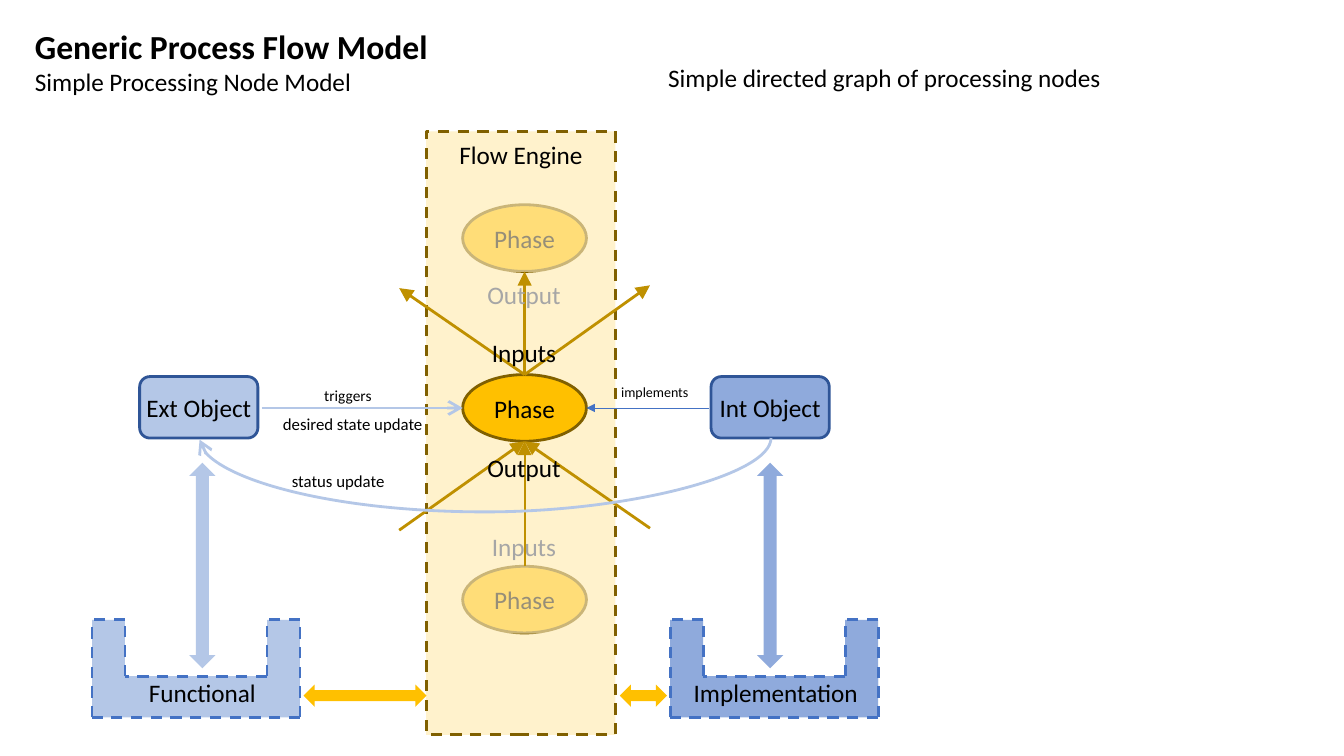
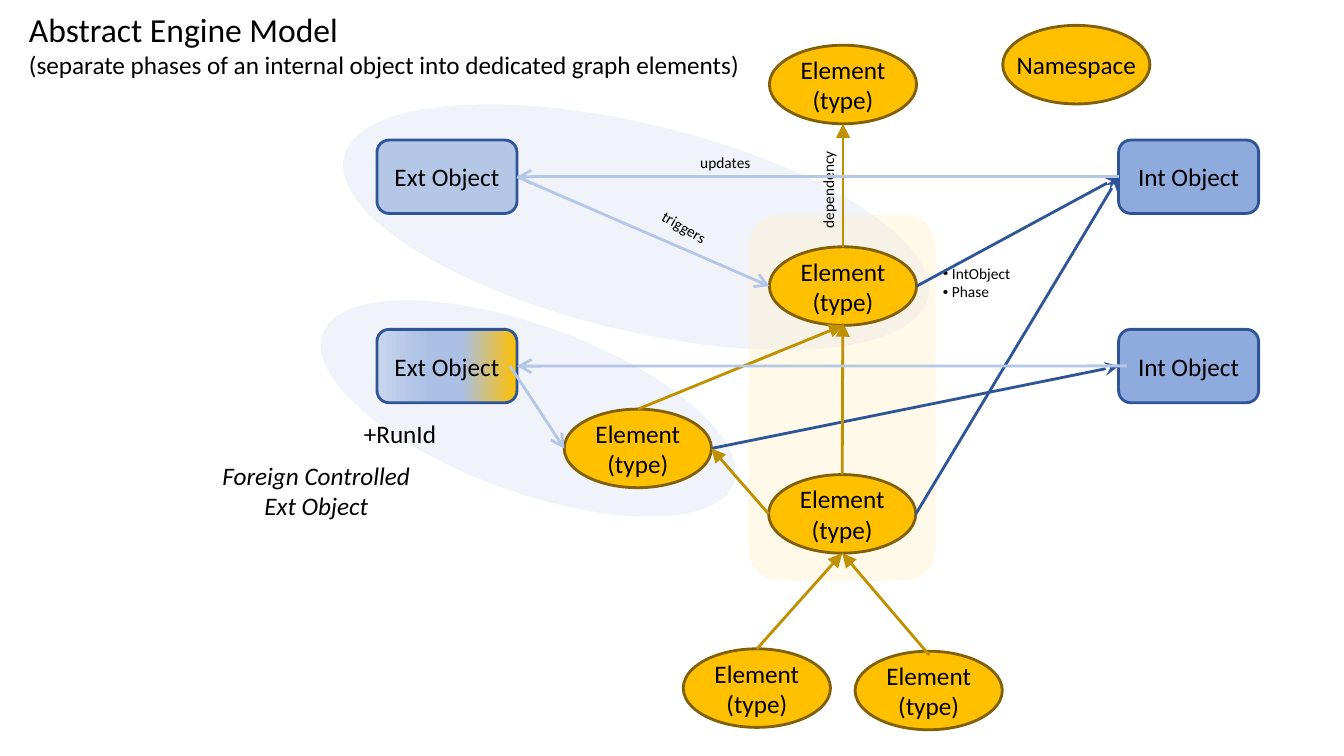
"""Build two slides that show a process flow model and its abstract engine."""
from dataclasses import dataclass
from functools import partial
from typing import Union

from lxml.etree import SubElement
from pptx import Presentation
from pptx.dml.color import RGBColor
from pptx.enum.dml import MSO_LINE
from pptx.enum.shapes import MSO_CONNECTOR, MSO_SHAPE
from pptx.enum.text import MSO_ANCHOR, PP_ALIGN
from pptx.oxml.ns import qn
from pptx.slide import Slide
from pptx.util import Cm, Pt

FONT = "Calibri"
HUES = {
    "black": "000000", "grey": "A6A6A6", "cream": "FFF2CC", "gold": "FFC000",
    "bronze": "BF9000", "brown": "806000", "pale": "DAE3F3", "sky": "B4C7E7",
    "steel": "8FAADC", "blue": "4472C4", "navy": "2F5597",
    "mist": "ABC0E4", "haze": "C7D5ED",
}
BLEND = ((0, "gold"), (39, "mist"), (62, "mist"), (100, "haze"))
Point = tuple[float, float]


@dataclass(frozen=True)
class Run:
    text: str
    size: float = 18
    hue: str = "black"
    bold: bool = False
    slant: bool = False


@dataclass(frozen=True)
class Node:
    x: float
    y: float
    w: float
    h: float
    form: MSO_SHAPE
    fill: str
    edge: str = ""
    dash: bool = False
    lines: tuple[str, ...] = ()
    alpha: int = 100
    turn: float = 0

    def at(self, right: float, down: float) -> Point:
        return self.x + self.w * right, self.y + self.h * down


@dataclass(frozen=True)
class Label:
    x: float
    y: float
    w: float
    runs: tuple[Run, ...]
    left: bool = False
    dots: bool = False
    turn: float = 0


@dataclass(frozen=True)
class Link:
    start: Point
    end: Point
    hue: str = "bronze"
    tip: str = "triangle"
    width: float = 2
    bend: int = 0
    size: str = "lg"
    dash: bool = False


Item = Union[Node, Label, Link]


def tint(hue: str) -> RGBColor:
    return RGBColor.from_string(HUES[hue])


def write(frame, runs: tuple[Run, ...], left: bool = False, dots: bool = False) -> None:
    frame.word_wrap = left
    for i, run in enumerate(runs):
        para = frame.paragraphs[0] if i == 0 else frame.add_paragraph()
        para.alignment = PP_ALIGN.LEFT if left else PP_ALIGN.CENTER
        if dots:
            props = para._p.get_or_add_pPr()
            props.set("marL", str(Cm(0.23)))
            props.set("indent", str(-Cm(0.23)))
            SubElement(props, qn("a:buFont"), typeface="Arial")
            SubElement(props, qn("a:buChar"), char="•")
        part = para.add_run()
        part.text = run.text
        font = part.font
        font.name, font.size = FONT, Pt(run.size)
        font.bold, font.italic = run.bold, run.slant
        font.color.rgb = tint(run.hue)


def blend(shape) -> None:
    shape.fill.gradient()
    shape.fill.gradient_angle = 180
    stops = shape._element.spPr.find(qn("a:gradFill")).find(qn("a:gsLst"))
    for stop in list(stops):
        stops.remove(stop)
    for place, hue in BLEND:
        stop = SubElement(stops, qn("a:gs"), pos=str(place * 1000))
        SubElement(stop, qn("a:srgbClr"), val=HUES[hue])


def paint(shape, node: Node) -> None:
    shape.shadow.inherit = False
    if node.fill == "blend":
        blend(shape)
    else:
        shape.fill.solid()
        shape.fill.fore_color.rgb = tint(node.fill)
    if node.alpha < 100:
        shade = shape._element.spPr.find(qn("a:solidFill"))[0]
        SubElement(shade, qn("a:alpha"), val=str(node.alpha * 1000))
    if not node.edge:
        shape.line.fill.background()
        return
    shape.line.color.rgb = tint(node.edge)
    shape.line.width = Pt(2)
    if node.dash:
        shape.line.dash_style = MSO_LINE.DASH


def add_node(slide: Slide, node: Node) -> None:
    shape = slide.shapes.add_shape(node.form, Cm(node.x), Cm(node.y), Cm(node.w), Cm(node.h))
    shape.rotation = node.turn
    paint(shape, node)
    if node.lines:
        frame = shape.text_frame
        frame.margin_left = frame.margin_right = frame.margin_top = frame.margin_bottom = Cm(0)
        frame.vertical_anchor = MSO_ANCHOR.MIDDLE
        write(frame, tuple(Run(line) for line in node.lines))


def add_label(slide: Slide, label: Label) -> None:
    tall = 0.25 + sum(run.size * 0.043 for run in label.runs)
    box = slide.shapes.add_textbox(Cm(label.x), Cm(label.y), Cm(label.w), Cm(tall))
    box.rotation = label.turn
    write(box.text_frame, label.runs, label.left, label.dots)


def add_link(slide: Slide, link: Link) -> None:
    kind = MSO_CONNECTOR.CURVE if link.bend else MSO_CONNECTOR.STRAIGHT
    ends = [Cm(value) for value in link.start + link.end]
    line = slide.shapes.add_connector(kind, *ends)
    line.line.color.rgb = tint(link.hue)
    line.line.width = Pt(link.width)
    if link.dash:
        line.line.dash_style = MSO_LINE.DASH
    props = line._element.spPr
    if link.tip:
        SubElement(props.find(qn("a:ln")), qn("a:tailEnd"),
                   type=link.tip, w=link.size, len=link.size)
    SubElement(props, qn("a:effectLst"))
    if link.bend:
        props.find(qn("a:xfrm")).set("rot", str(90 * 60000))
        guides = props.find(qn("a:prstGeom")).find(qn("a:avLst"))
        SubElement(guides, qn("a:gd"), name="adj1", fmla=f"val {link.bend}")


DRAW = {Node: add_node, Label: add_label, Link: add_link}


def draw(deck, items: list[Item]) -> None:
    slide = deck.slides.add_slide(deck.slide_layouts[6])
    for item in items:
        DRAW[type(item)](slide, item)


def head(x: float, y: float, title: str, under: str, bold: bool = False) -> Label:
    return Label(x, y, 19, (Run(title, 24, bold=bold), Run(under)), left=True)


def note(x: float, y: float, w: float, text: str, size: float = 18,
         hue: str = "black", turn: float = 0) -> Label:
    return Label(x, y, w, (Run(text, size, hue),), turn=turn)


oval = partial(Node, form=MSO_SHAPE.OVAL, fill="gold", edge="brown")
card = partial(Node, form=MSO_SHAPE.ROUNDED_RECTANGLE, edge="navy")
slab = partial(Node, form=MSO_SHAPE.RECTANGLE)
veil = partial(slab, w=3.78, h=1.8, fill="cream", alpha=59)
halo = partial(Node, form=MSO_SHAPE.OVAL, fill="pale", alpha=40)
tall = partial(Node, y=11.66, w=0.66, h=5.18, form=MSO_SHAPE.UP_DOWN_ARROW)
flat = partial(Node, y=17.25, h=0.56, form=MSO_SHAPE.LEFT_RIGHT_ARROW, fill="gold")
flow = partial(Link, hue="sky", tip="arrow")
build = partial(Link, hue="navy", tip="stealth")
rim = partial(Link, hue="blue", tip="", dash=True)


def phase(y: float) -> Node:
    return oval(11.66, y, 3.12, 1.68, lines=("Phase",))


def type_oval(x: float, y: float, *lines: str) -> Node:
    return oval(x, y, 3.71, 1.98, lines=lines or ("Element", "(type)"))


def tray(left: float, fill: str) -> list[Item]:
    top, step, foot, arm, wide = 15.62, 17.04, 18.08, 0.83, 5.24
    right = left + wide
    near, far = left + arm, right - arm
    return [
        slab(left, step, wide, foot - step, fill=fill),
        *(slab(x, top, arm, 1.83, fill=fill) for x in (left, far)),
        *(rim((x, foot), (x, top)) for x in (left, right)),
        rim((right, foot), (left, foot)),
        *(rim((x, step), (x, top)) for x in (near, far)),
        rim((far, step), (near, step)),
        *(rim((x + arm, top), (x, top)) for x in (left, far)),
    ]


def process() -> list[Item]:
    above, core, below = phase(5.16), phase(9.44), phase(14.27)
    top, foot = core.at(0.5, 0), core.at(0.5, 1)
    words = ((6.91, "Output", "grey"), (11.28, "Output", "black"), (8.38, "Inputs", "black"))
    return [
        slab(10.74, 3.31, 4.77, 15.21, fill="cream", edge="brown", dash=True),
        above, below, veil(11.13, 14.17), veil(11.35, 5.05),
        head(0.63, 0.53, "Generic Process Flow Model", "Simple Processing Node Model", True),
        core,
        Link(below.at(0.5, 0), foot, width=1.5),
        *(Link(top, end) for end in (above.at(0.5, 1), (10.06, 7.26), (16.38, 7.19))),
        *(Link(start, foot) for start in ((10.06, 13.36), (16.38, 13.31))),
        *(note(12.01, y, 2.39, text, hue=hue) for y, text, hue in words),
        note(16.51, 1.45, 11.56, "Simple directed graph of processing nodes"),
        card(3.52, 9.49, 2.98, 1.55, fill="sky", lines=("Ext Object",)),
        flow((6.6, 10.28), core.at(0, 0.5)),
        note(7.82, 9.61, 1.9, "triggers", 11),
        card(17.92, 9.49, 2.98, 1.55, fill="steel", lines=("Int Object",)),
        Link((17.86, 10.28), core.at(1, 0.5), "blue", width=0.5, size="med"),
        note(15.38, 9.55, 2.24, "implements", 10),
        flow((12.21, 3.86), (12.25, 18.26), bend=4650000),
        note(7.09, 11.73, 2.87, "status update", 12),
        note(6.86, 10.29, 4.06, "desired state update", 12),
        note(11.3, 3.38, 3.66, "Flow Engine"),
        note(12.01, 13.27, 2.39, "Inputs", hue="grey"),
        *tray(2.32, "sky"),
        tall(19.08, fill="steel"), tall(4.77, fill="sky"),
        *tray(16.89, "steel"),
        note(3.3, 16.94, 3.6, "Functional"),
        note(17.05, 16.94, 5, "Implementation"),
        flat(7.65, w=3.1), flat(15.62, w=1.19),
    ]


def engine() -> list[Item]:
    peak, core, base = type_oval(19.39, 1.14), type_oval(19.39, 6.22), type_oval(19.37, 11.96)
    side, left, right = type_oval(14.22, 10.31), type_oval(17.22, 16.35), type_oval(21.55, 16.41)
    ext, guest = (card(9.5, y, 3.53, 1.85, fill=fill, lines=("Ext Object",))
                  for y, fill in ((3.53, "sky"), (8.3, "blend")))
    high, low = (card(28.19, y, 3.53, 1.85, fill="steel", lines=("Int Object",))
                 for y in (3.53, 8.3))
    return [
        halo(7.8, 8.2, 11.02, 4.19, turn=20),
        halo(8.46, 3.12, 15.14, 5.21, turn=13.6),
        Node(18.86, 5.41, 4.72, 9.22, MSO_SHAPE.ROUNDED_RECTANGLE, "cream", alpha=40),
        head(0.48, 0.1, "Abstract Engine Model",
             "(separate phases of an internal object into dedicated graph elements)"),
        peak, core, base, side, left, right, ext, guest, high, low,
        type_oval(25.27, 0.64, "Namespace"),
        Label(23.51, 6.53, 2.6, (Run("IntObject", 11), Run("Phase", 11)), left=True, dots=True),
        note(19.64, 4.42, 2.46, "dependency", 11, turn=270),
        note(17.38, 3.73, 1.8, "updates", 11),
        note(16.38, 5.36, 1.73, "triggers", 11, turn=30),
        note(8.9, 10.41, 2.36, "+RunId"),
        Label(5.33, 11.48, 5.28, (Run("Foreign Controlled", slant=True),
                                  Run("Ext Object", slant=True))),
        *(build(node.at(1, 0.5), goal.at(0, 0.5))
          for node, goal in ((core, high), (base, high), (side, low))),
        *(Link(start, goal.at(0.5, 1))
          for start, goal in ((left.at(0.5, 0), base), ((23.42, 16.51), base),
                              (core.at(0.5, 0), peak), (side.at(0.5, 0), core))),
        Link(base.at(0.5, 0), (21.24, 8.13)),
        Link(base.at(0, 0.5), side.at(1, 0.5)),
        flow(high.at(0, 0.5), ext.at(1, 0.5)),
        flow(ext.at(1, 0.5), core.at(0, 0.5)),
        flow((12.85, 9.22), side.at(0, 0.5)),
        flow((28.4, 9.22), guest.at(1, 0.5)),
    ]


def main() -> None:
    deck = Presentation()
    deck.slide_width, deck.slide_height = Cm(33.87), Cm(19.05)
    for items in (process(), engine()):
        draw(deck, items)
    deck.save("out.pptx")


if __name__ == "__main__":
    main()
